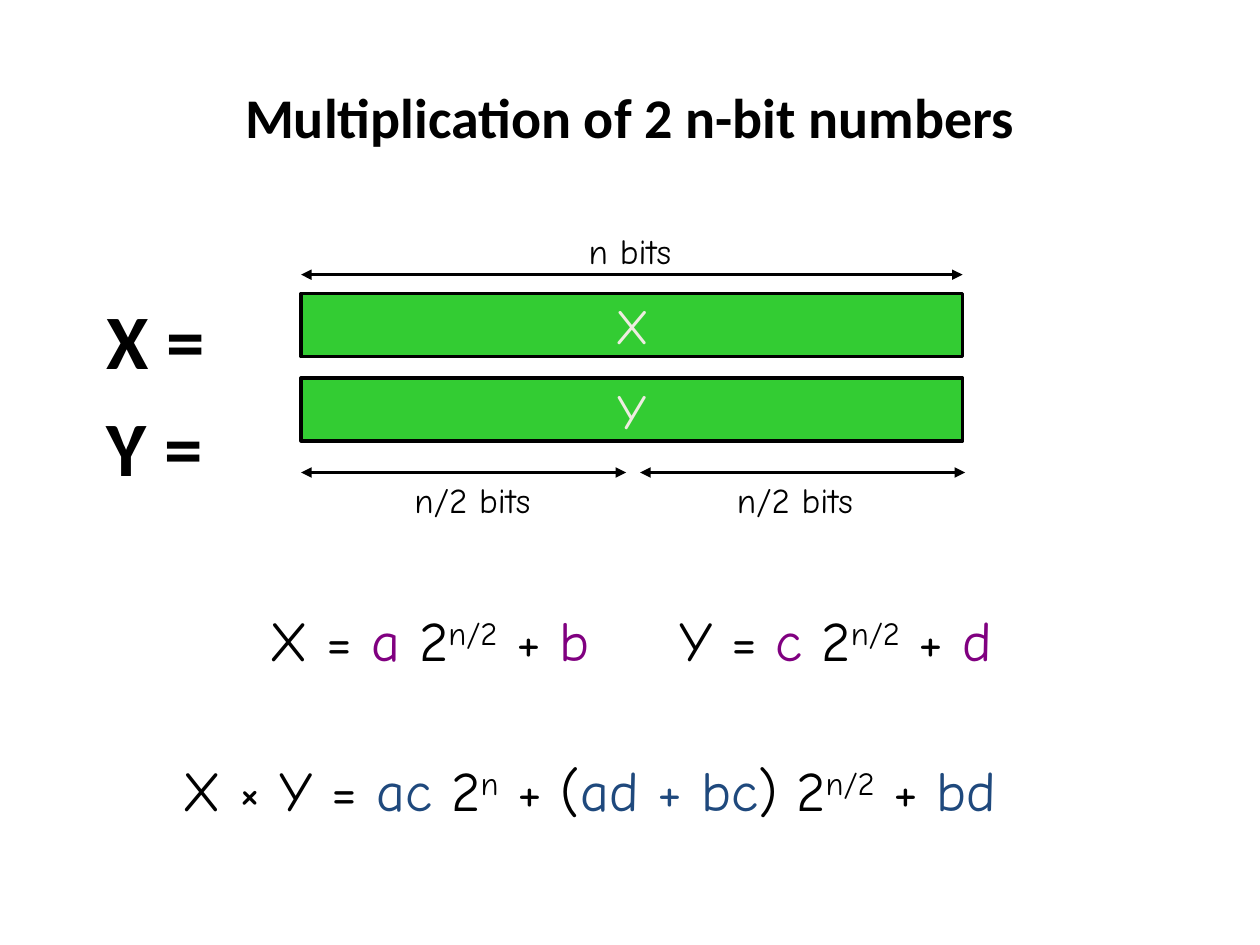
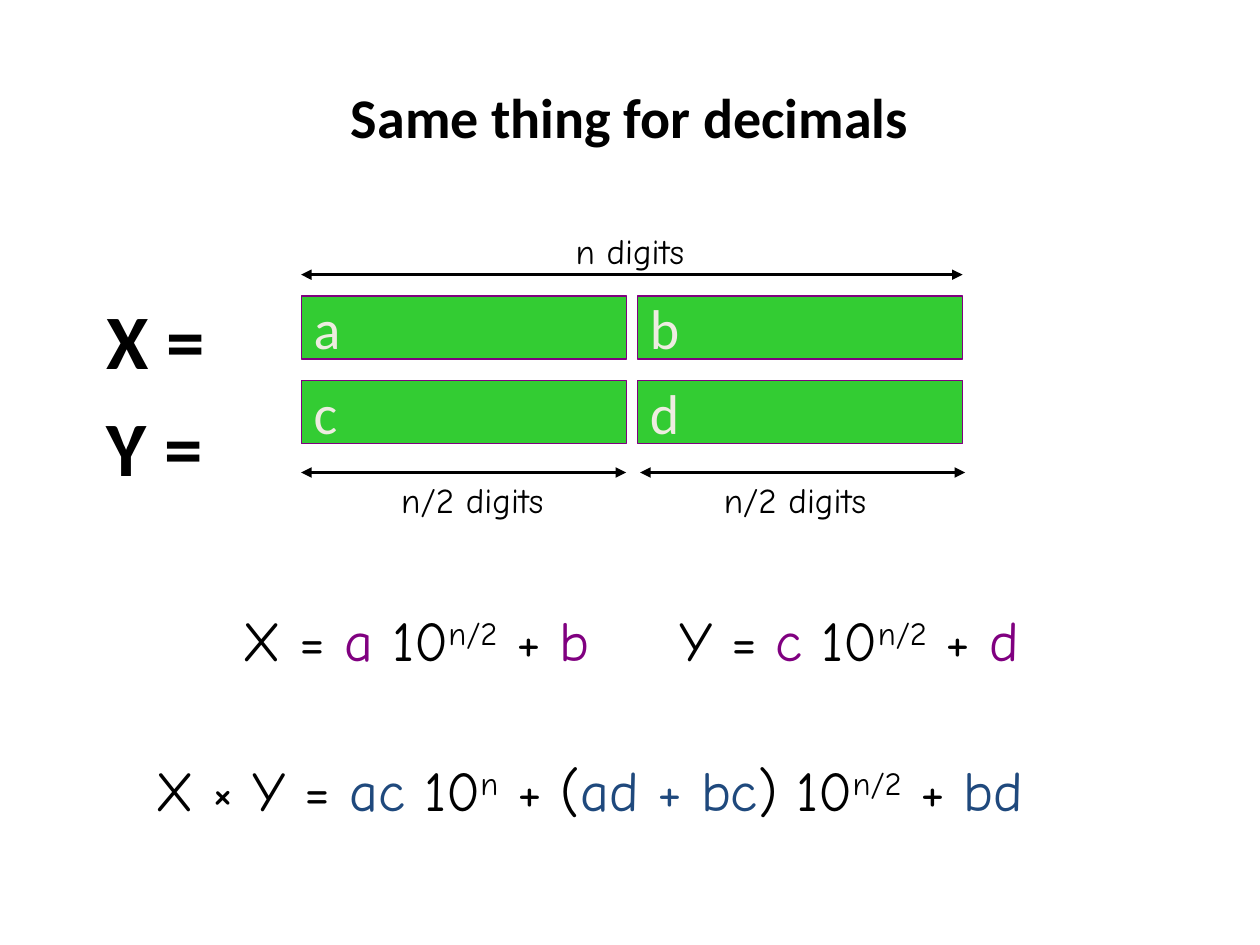
"""Build two slides that split X and Y into halves and multiply them."""
from lxml.etree import SubElement
from pptx import Presentation
from pptx.dml.color import RGBColor
from pptx.enum.shapes import MSO_CONNECTOR, MSO_SHAPE
from pptx.enum.text import MSO_ANCHOR, PP_ALIGN
from pptx.oxml.ns import qn
from pptx.util import Inches, Pt

BLACK = RGBColor(0x00, 0x00, 0x00)
CREAM = RGBColor(0xEE, 0xEC, 0xE1)
GREEN = RGBColor(0x33, 0xCC, 0x33)
PURPLE = RGBColor(0x80, 0x00, 0x80)
NAVY = RGBColor(0x1F, 0x49, 0x7D)
SANS, COMIC = "Calibri", "Comic Neue"
POWER = "power"

SLIDES = [
    {"title": "Multiplication of 2 n-bit numbers", "unit": "bits", "base": "2",
     "bars": [["X"], ["Y"]], "bar_top": 2.33,
     "bar_style": {"font": COMIC, "size": 28, "align": PP_ALIGN.CENTER},
     "inset": 0.3, "outline": (BLACK, 2)},
    {"title": "Same thing for decimals", "unit": "digits", "base": "10",
     "bars": [["a", "b"], ["c", "d"]], "bar_top": 2.35,
     "bar_style": {"font": SANS, "size": 32, "align": PP_ALIGN.LEFT},
     "inset": 0.1, "outline": (PURPLE, 0.75)},
]

BAR_LEFT, BAR_WIDTH, BAR_HEIGHT = 2.39, 5.25, 0.5
BAR_GAP, ROW_STEP = 0.09, 0.67
ARROWS = [(2.39, 7.64, 2.18), (2.39, 4.97, 3.75), (5.08, 7.66, 3.75)]
LABELS = [("n", 5.0, 1.77), ("n/2", 3.75, 3.75), ("n/2", 6.31, 3.75)]
LABEL_WIDTH = 1.9


def split_formula(name, high, low, base):
    return [(f"{name} = ", BLACK), (high, PURPLE), (f" {base}", BLACK),
            ("n/2", POWER), (" + ", BLACK), (low, PURPLE)]


def product_formula(base):
    return [("X × Y = ", BLACK), ("ac", NAVY), (f" {base}", BLACK), ("n", POWER),
            (" + (", BLACK), ("ad + bc", NAVY), (f") {base}", BLACK),
            ("n/2", POWER), (" + ", BLACK), ("bd ", NAVY)]


def fill_paragraph(para, pieces, font, size, align=PP_ALIGN.LEFT, bold=False):
    para.alignment = align
    for text, style in pieces:
        span = para.add_run()
        span.text = text
        span.font.name, span.font.size, span.font.bold = font, Pt(size), bold
        if style == POWER:
            span.font.color.rgb = BLACK
            span._r.get_or_add_rPr().set("baseline", "30000")
        else:
            span.font.color.rgb = style


def set_frame(frame, inset, wrap, anchor):
    frame.margin_left = frame.margin_right = Inches(inset)
    frame.word_wrap = wrap
    frame.vertical_anchor = anchor


def add_text(page, place, lines, inset=0.3, wrap=False, anchor=MSO_ANCHOR.TOP,
             space=0, **style):
    box = page.shapes.add_textbox(*map(Inches, place))
    frame = box.text_frame
    set_frame(frame, inset, wrap, anchor)
    for index, pieces in enumerate(lines):
        para = frame.add_paragraph() if index else frame.paragraphs[0]
        if index:
            para.space_before = Pt(space)
        fill_paragraph(para, pieces, **style)


def add_bars(page, content):
    colour, weight = content["outline"]
    for row, names in enumerate(content["bars"]):
        width = (BAR_WIDTH - BAR_GAP * (len(names) - 1)) / len(names)
        for column, name in enumerate(names):
            left = BAR_LEFT + column * (width + BAR_GAP)
            top = content["bar_top"] + row * ROW_STEP
            bar = page.shapes.add_shape(
                MSO_SHAPE.RECTANGLE, *map(Inches, (left, top, width, BAR_HEIGHT)))
            bar.shadow.inherit = False
            bar.fill.solid()
            bar.fill.fore_color.rgb = GREEN
            bar.line.color.rgb = colour
            bar.line.width = Pt(weight)
            set_frame(bar.text_frame, content["inset"], False, MSO_ANCHOR.MIDDLE)
            fill_paragraph(bar.text_frame.paragraphs[0], [(name, CREAM)],
                           **content["bar_style"])


def add_arrow(page, start, end, top):
    arrow = page.shapes.add_connector(
        MSO_CONNECTOR.STRAIGHT, *map(Inches, (start, top, end, top)))
    arrow.line.color.rgb = BLACK
    arrow.line.width = Pt(2)
    outline = arrow.line._get_or_add_ln()
    for tip in ("a:headEnd", "a:tailEnd"):
        SubElement(outline, qn(tip), type="triangle")
    SubElement(arrow._element.spPr, qn("a:effectLst"))


def add_formulas(page, base):
    style = {"font": COMIC, "size": 32}
    add_text(page, (1.5, 4.76, 3.48, 0.63), [split_formula("X", "a", "b", base)],
             wrap=True, align=PP_ALIGN.RIGHT, **style)
    add_text(page, (5.09, 4.76, 3.58, 0.63), [split_formula("Y", "c", "d", base)],
             wrap=True, **style)
    add_text(page, (0.81, 5.95, 7.89, 0.63), [product_formula(base)],
             align=PP_ALIGN.CENTER, **style)


def build_page(deck, content):
    page = deck.slides.add_slide(deck.slide_layouts[6])
    add_text(page, (0.5, 0.3, 9, 1.25), [[(content["title"], BLACK)]], inset=0.1,
             wrap=True, anchor=MSO_ANCHOR.MIDDLE, font=SANS, size=32,
             align=PP_ALIGN.CENTER, bold=True)
    add_text(page, (0.75, 2.27, 8.5, 1.92), [[("X =", BLACK)], [("Y =", BLACK)]],
             inset=0.1, wrap=True, space=8.8, font=SANS, size=44, bold=True)
    add_bars(page, content)
    for arrow in ARROWS:
        add_arrow(page, *arrow)
    for amount, centre, top in LABELS:
        add_text(page, (centre - LABEL_WIDTH / 2, top, LABEL_WIDTH, 0.4),
                 [[(f"{amount} {content['unit']}", BLACK)]],
                 font=COMIC, size=20, align=PP_ALIGN.CENTER)
    add_formulas(page, content["base"])


def main():
    deck = Presentation()
    deck.slide_width, deck.slide_height = Inches(10), Inches(7.5)
    for content in SLIDES:
        build_page(deck, content)
    deck.save("out.pptx")


if __name__ == "__main__":
    main()
